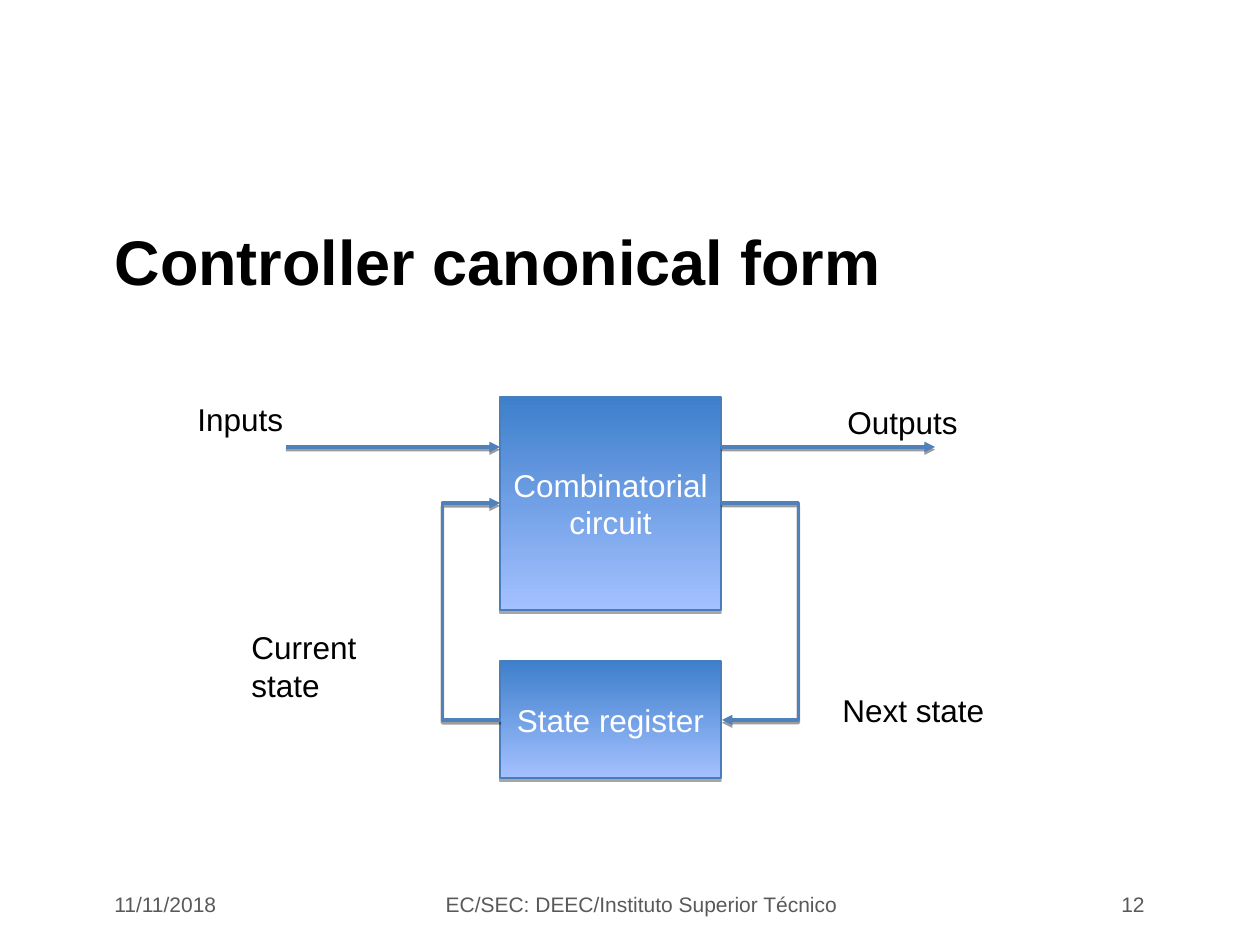
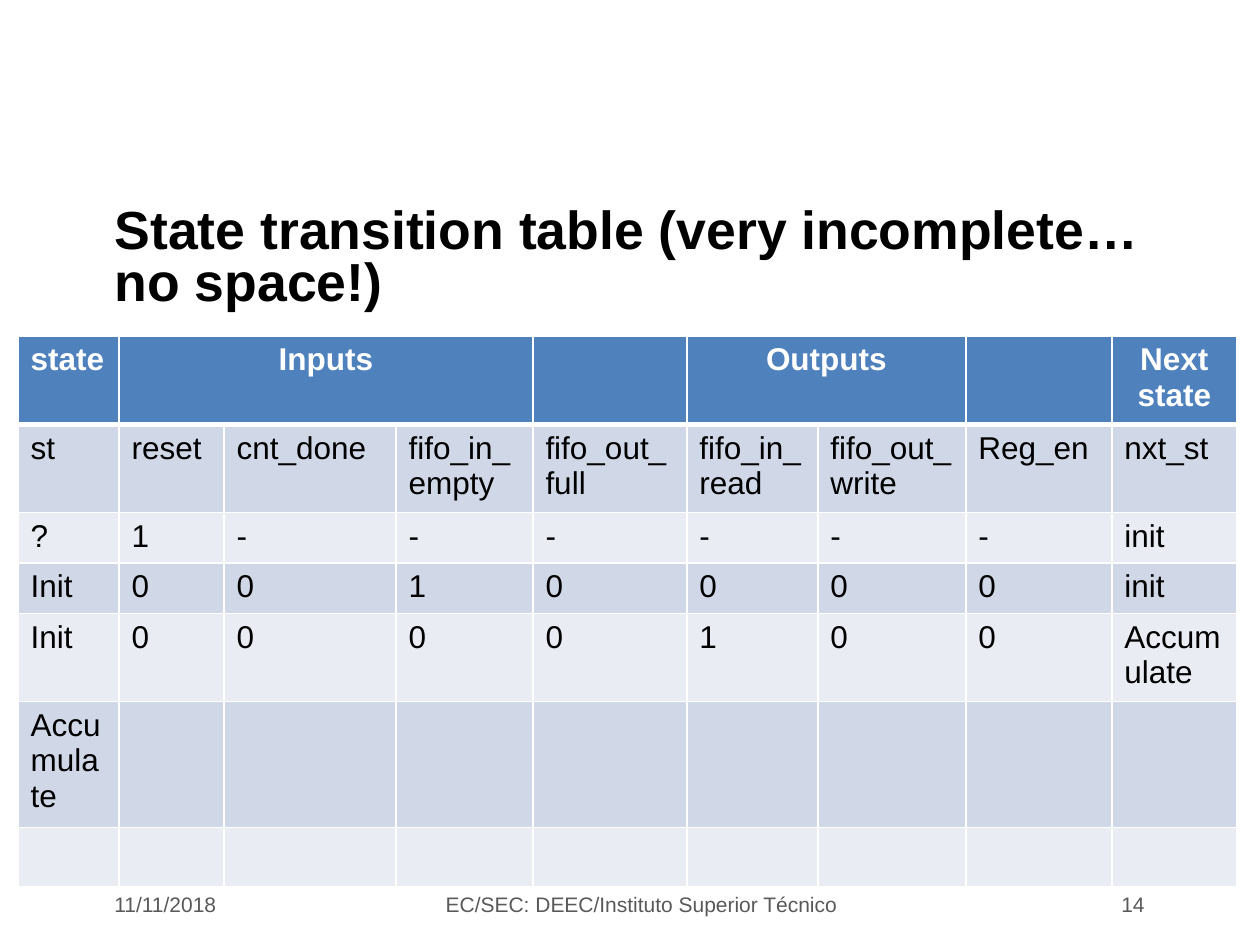
"""Build two slides on a controller's canonical form and its state transition table."""

from lxml.etree import SubElement
from pptx import Presentation
from pptx.dml.color import RGBColor
from pptx.enum.shapes import MSO_CONNECTOR, MSO_SHAPE
from pptx.enum.text import MSO_ANCHOR, MSO_AUTO_SIZE, PP_ALIGN
from pptx.oxml.ns import qn
from pptx.util import Emu, Pt

THEME = {
    "font": "Arial",
    "black": "000000",
    "white": "FFFFFF",
    "grey": "595959",
    "accent": "4F81BD",
    "box_line": "4A7EBB",
    "box_fill": ("3E7FCC", "A4C1FF"),
    "bands": ("D0D8E7", "E9ECF3"),
    "title": 36,
    "title_small": 30.6,
    "text": 18,
    "footer": 12,
}

TITLE_BOX = (102, 200, 1055, 120)
FOOTER_Y, FOOTER_H = 883, 43
DATE = "11/11/2018"
COURSE = "EC/SEC: DEEC/Instituto Superior Técnico "

BOXES = [
    ("Combinatorial circuit", (500, 397, 221, 213)),
    ("State register", (500, 661, 221, 117)),
]
LABELS = [
    ("Inputs", (185, 394, 113, 50)),
    ("Outputs", (835, 397, 137, 50)),
    ("Next state", (830, 685, 168, 50)),
    ("Current\vstate", (239, 622, 207, 50)),
]
ARROWS = [(286, 447, 500, 447), (721, 447, 935, 447)]
LOOP_TOP, LOOP_BOTTOM = 503, 720
LOOPS = [
    {"x": 721, "reach": 78, "turn": 0},
    {"x": 500, "reach": 59, "turn": 180},
]

TABLE_AT = (18, 336)
COLS = [101, 105, 172, 137, 154, 131, 148, 146, 125]
HEIGHTS = [83, 83, 48, 48, 83, 118, 59]
MERGES = [(1, 3), (5, 6)]
ROWS = [
    ["state", "Inputs", "", "", "", "Outputs", "", "", "Next state"],
    ["st", "reset", "cnt_done", "fifo_in_empty", "fifo_out_full",
     "fifo_in_read", "fifo_out_write", "Reg_en", "nxt_st"],
    ["?", "1", "-", "-", "-", "-", "-", "-", "init"],
    ["Init", "0", "0", "1", "0", "0", "0", "0", "init"],
    ["Init", "0", "0", "0", "0", "1", "0", "0", "Accumulate"],
    ["Accumulate"] + [""] * 8,
    [""] * 9,
]


def px(*values):
    return [Emu(round(v * 914400 / 126)) for v in values]


def rgb(code):
    return RGBColor.from_string(code)


def write(tf, text, size, color, align=PP_ALIGN.LEFT, bold=False, **frame):
    for name, value in frame.items():
        setattr(tf, name, value)
    p = tf.paragraphs[0]
    p.text = text
    p.alignment = align
    for name, value in {"name": THEME["font"], "size": Pt(size), "bold": bold}.items():
        setattr(p.font, name, value)
    for r in p.runs:
        for name, value in {"name": THEME["font"], "size": Pt(size), "bold": bold}.items():
            setattr(r.font, name, value)
        r.font.color.rgb = rgb(color)
    return p


def add_text(slide, text, box, size, color, align=PP_ALIGN.LEFT, anchor=MSO_ANCHOR.TOP):
    tf = slide.shapes.add_textbox(*px(*box)).text_frame
    write(tf, text, size, color, align, word_wrap=True, vertical_anchor=anchor)


def add_slide(prs, title, number, size):
    slide = prs.slides.add_slide(prs.slide_layouts[5])
    sp = slide.shapes.title
    for name, value in zip(("left", "top", "width", "height"), px(*TITLE_BOX)):
        setattr(sp, name, value)
    p = write(sp.text_frame, title, size, THEME["black"], bold=True, word_wrap=True,
              auto_size=MSO_AUTO_SIZE.NONE, vertical_anchor=MSO_ANCHOR.MIDDLE)
    footers = [
        (DATE, 102, 255, PP_ALIGN.LEFT),
        (COURSE, 431, 427, PP_ALIGN.CENTER),
        (str(number), 905, 252, PP_ALIGN.RIGHT),
    ]
    for text, x, w, align in footers:
        add_text(slide, text, (x, FOOTER_Y, w, FOOTER_H), THEME["footer"],
                 THEME["grey"], align, MSO_ANCHOR.MIDDLE)
    return slide, p


def add_shadow(sp, distance, opacity):
    effects = SubElement(sp.element.spPr, qn("a:effectLst"))
    shadow = SubElement(effects, qn("a:outerShdw"), blurRad="0", dist=str(Pt(distance)),
                        dir="5400000", rotWithShape="0")
    color = SubElement(shadow, qn("a:srgbClr"), val=THEME["black"])
    SubElement(color, qn("a:alpha"), val=str(opacity * 1000))


def add_box(slide, text, box):
    sp = slide.shapes.add_shape(MSO_SHAPE.RECTANGLE, *px(*box))
    sp.fill.gradient()
    sp.fill.gradient_angle = 270
    for stop, color in zip(sp.fill.gradient_stops, THEME["box_fill"]):
        stop.color.rgb = rgb(color)
    sp.line.color.rgb = rgb(THEME["box_line"])
    sp.line.width = Pt(0.75)
    add_shadow(sp, 1.8, 35)
    write(sp.text_frame, text, THEME["text"], THEME["white"], PP_ALIGN.CENTER,
          word_wrap=True, vertical_anchor=MSO_ANCHOR.MIDDLE)


def add_arrow(slide, kind, ends):
    sp = slide.shapes.add_connector(kind, *px(*ends))
    sp.line.color.rgb = rgb(THEME["accent"])
    sp.line.width = Pt(2)
    SubElement(sp.element.spPr.find(qn("a:ln")), qn("a:tailEnd"), type="triangle")
    add_shadow(sp, 1.6, 38)
    return sp


def add_loop(slide, x, reach, turn):
    sp = add_arrow(slide, MSO_CONNECTOR.ELBOW, (x, LOOP_TOP, x + 1, LOOP_BOTTOM))
    spPr = sp.element.spPr
    spPr.find(qn("a:xfrm")).set("rot", str(turn * 60000))
    guides = spPr.find(qn("a:prstGeom")).find(qn("a:avLst"))
    SubElement(guides, qn("a:gd"), name="adj1", fmla=f"val {reach * 100000}")


def add_borders(cell, row):
    tcPr = cell._tc.get_or_add_tcPr()
    thick = {(0, "lnB"), (1, "lnT")}
    for side in ("lnL", "lnR", "lnT", "lnB"):
        width = Pt(3 if (row, side) in thick else 0.96)
        ln = SubElement(tcPr, qn(f"a:{side}"), w=str(width))
        SubElement(SubElement(ln, qn("a:solidFill")), qn("a:srgbClr"), val=THEME["white"])


def add_state_table(slide):
    size = px(*TABLE_AT, sum(COLS), sum(HEIGHTS))
    table = slide.shapes.add_table(len(ROWS), len(COLS), *size).table
    for col, w in zip(table.columns, px(*COLS)):
        col.width = w
    for row, h in zip(table.rows, px(*HEIGHTS)):
        row.height = h
    for i, row in enumerate(ROWS):
        head = i == 0
        for j, text in enumerate(row):
            cell = table.cell(i, j)
            add_borders(cell, i)
            cell.fill.solid()
            cell.fill.fore_color.rgb = rgb(THEME["accent"] if head else THEME["bands"][(i - 1) % 2])
            write(cell.text_frame, text, THEME["text"], THEME["white" if head else "black"],
                  PP_ALIGN.CENTER if head and j else PP_ALIGN.LEFT, head)
    for first, last in MERGES:
        table.cell(0, first).merge(table.cell(0, last))


def main():
    prs = Presentation()
    prs.slide_width, prs.slide_height = px(1260, 945)

    slide, _ = add_slide(prs, "Controller canonical form", 12, THEME["title"])
    for text, box in BOXES:
        add_box(slide, text, box)
    for ends in ARROWS:
        add_arrow(slide, MSO_CONNECTOR.STRAIGHT, ends)
    for loop in LOOPS:
        add_loop(slide, **loop)
    for text, box in LABELS:
        add_text(slide, text, box, THEME["text"], THEME["black"])

    slide, p = add_slide(prs, "State transition table (very incomplete… no space!)", 14,
                         THEME["title_small"])
    p.line_spacing = 0.8
    add_state_table(slide)
    prs.save("out.pptx")


if __name__ == "__main__":
    main()
